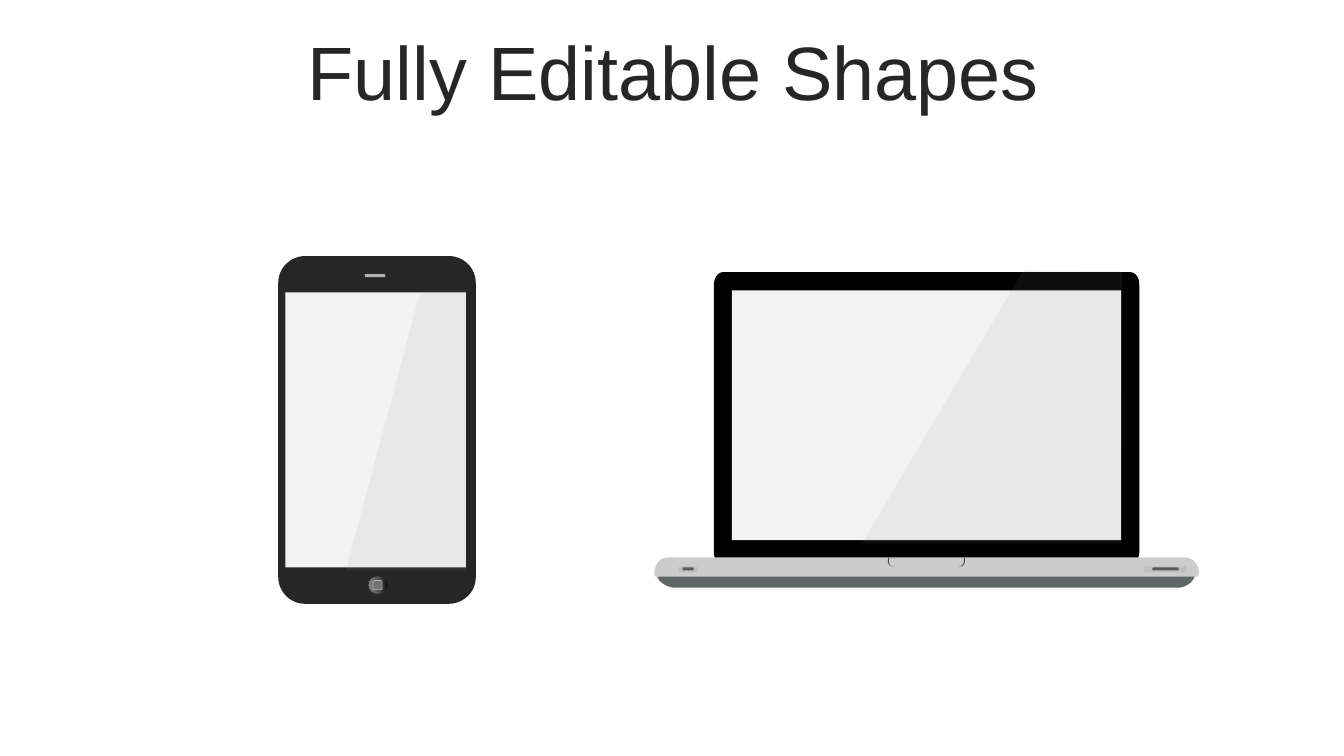
from lxml import etree
from pptx import Presentation
from pptx.dml.color import RGBColor
from pptx.enum.shapes import MSO_SHAPE as SHAPE
from pptx.enum.text import MSO_ANCHOR, PP_ALIGN
from pptx.oxml.ns import qn
from pptx.util import Inches, Pt

COLORS = {
    "title": "262626", "body": "262626", "lid": "000000", "screen": "F2F2F2",
    "glint": "999999", "base": "CCCCCC", "underside": "5F6767", "notch": "4D4D4D",
    "port": "BFBFBF", "slot": "595959", "speaker": "B0B0B0", "button_icon": "737373",
}
BUTTON_STOPS = [(0, "0F0F0F"), (56, "595959"), (91, "808080"), (100, "BFBFBF")]
CURVE_STEPS = 8


def add_preset(device, kind, box, color, adjust=None):
    shape = device.shapes.add_shape(kind, *map(Inches, box))
    shape.shadow.inherit = False
    shape.fill.solid()
    shape.fill.fore_color.rgb = RGBColor.from_string(COLORS[color])
    shape.line.fill.background()
    if adjust is not None:
        shape.adjustments[0] = adjust
    return shape


def add_outline(device, contours, color, alpha=None):
    """Draw closed contours; a pair is a corner, six numbers are a Bézier curve."""
    builder = None
    for start, *segments in contours:
        points = [start]
        for segment in segments:
            if len(segment) == 2:
                points.append(segment)
                continue
            (x0, y0), (x1, y1, x2, y2, x3, y3) = points[-1], segment
            for step in range(1, CURVE_STEPS + 1):
                t = step / CURVE_STEPS
                a, b, c, d = (1 - t) ** 3, 3 * t * (1 - t) ** 2, 3 * t * t * (1 - t), t ** 3
                points.append((a * x0 + b * x1 + c * x2 + d * x3,
                               a * y0 + b * y1 + c * y2 + d * y3))
        corners = [(Inches(x), Inches(y)) for x, y in points]
        if builder is None:
            builder = device.shapes.build_freeform(*corners[0])
        else:
            builder.move_to(*corners[0])
        builder.add_line_segments(corners[1:], close=True)
    shape = builder.convert_to_shape()
    shape.shadow.inherit = False
    shape.fill.solid()
    shape.fill.fore_color.rgb = RGBColor.from_string(COLORS[color])
    shape.line.fill.background()
    if alpha is not None:
        rgb = shape.fill._xPr.find(".//" + qn("a:srgbClr"))
        etree.SubElement(rgb, qn("a:alpha"), val=str(alpha * 1000))


prs = Presentation()
prs.slide_width, prs.slide_height = Inches(13.33), Inches(7.5)
slide = prs.slides.add_slide(prs.slide_layouts[6])

# Title
title = slide.shapes.add_textbox(Inches(0.35), Inches(0.36), Inches(12.66), Inches(0.79))
title.text_frame.word_wrap = True
title.text_frame.vertical_anchor = MSO_ANCHOR.MIDDLE
heading = title.text_frame.paragraphs[0]
heading.text = "Fully Editable Shapes"
heading.alignment = PP_ALIGN.CENTER
heading.line_spacing = 0.9
heading.font.name = "Arial"
heading.font.size = Pt(54)
heading.font.color.rgb = RGBColor.from_string(COLORS["title"])

# Laptop
laptop = slide.shapes.add_group_shape()
add_outline(laptop, [[
    (11.7, 5.83), (11.7, 5.83, 11.81, 5.82, 11.85, 5.72), (11.85, 5.69, 11.83, 5.67, 11.8, 5.67),
    (6.64, 5.69), (6.58, 5.69), (6.55, 5.69, 6.52, 5.71, 6.52, 5.73),
    (6.56, 5.8, 6.63, 5.82, 6.67, 5.83),
]], "underside")
add_outline(laptop, [[
    (11.3, 5.47), (11.3, 5.54, 11.26, 5.61, 11.21, 5.61), (7.17, 5.61),
    (7.12, 5.61, 7.08, 5.55, 7.08, 5.47), (7.08, 2.83), (7.08, 2.76, 7.12, 2.7, 7.17, 2.7),
    (11.21, 2.7), (11.26, 2.7, 11.3, 2.75, 11.3, 2.83),
]], "lid")
add_preset(laptop, SHAPE.RECTANGLE, (7.26, 2.88, 3.86, 2.48), "screen")
add_outline(laptop, [[
    (6.63, 5.53), (11.75, 5.53), (11.83, 5.53, 11.89, 5.6, 11.89, 5.68), (11.89, 5.7),
    (11.89, 5.7, 11.89, 5.73, 11.84, 5.72), (6.54, 5.72), (6.52, 5.73, 6.5, 5.73, 6.49, 5.7),
    (6.49, 5.67), (6.5, 5.59, 6.55, 5.53, 6.63, 5.53),
]], "base")
add_outline(laptop, [
    [(9.56, 5.53), (9.57, 5.53), (9.58, 5.61, 9.54, 5.62, 9.52, 5.62), (9.5, 5.62),
     (9.52, 5.62), (9.54, 5.61, 9.57, 5.6, 9.56, 5.53)],
    [(8.81, 5.53), (8.82, 5.53), (8.82, 5.53, 8.8, 5.6, 8.85, 5.62), (8.87, 5.62),
     (8.85, 5.62), (8.79, 5.61, 8.81, 5.53, 8.81, 5.53)],
], "notch")
for port_left, port_width, slot_left, slot_width in [(6.73, 0.19, 6.77, 0.11),
                                                     (11.35, 0.42, 11.43, 0.26)]:
    add_preset(laptop, SHAPE.ROUNDED_RECTANGLE, (port_left, 5.62, port_width, 0.06), "port", 0.28)
    add_preset(laptop, SHAPE.ROUNDED_RECTANGLE, (slot_left, 5.63, slot_width, 0.03), "slot", 0.28)
add_outline(laptop, [[(10.15, 2.68), (11.13, 2.69), (11.12, 5.39), (8.55, 5.39)]], "glint", 10)

# Phone
phone = slide.shapes.add_group_shape()
add_preset(phone, SHAPE.ROUNDED_RECTANGLE, (2.76, 2.54, 1.96, 3.45), "body", 0.136)
add_preset(phone, SHAPE.RECTANGLE, (3.62, 2.72, 0.2, 0.03), "speaker")

home_button = add_preset(phone, SHAPE.OVAL, (3.65, 5.71, 0.2, 0.19), "body")
home_button.line.color.rgb = RGBColor.from_string(COLORS["body"])
home_button.line.width = Pt(0)
home_button.fill.gradient()
home_button.fill.gradient_angle = 180
stop_list = home_button.fill._xPr.find(".//" + qn("a:gsLst"))
for stop in list(stop_list):
    stop_list.remove(stop)
for position, color in BUTTON_STOPS:
    stop = etree.SubElement(stop_list, qn("a:gs"), pos=str(position * 1000))
    etree.SubElement(stop, qn("a:srgbClr"), val=color)

button_icon = add_preset(phone, SHAPE.ROUNDED_RECTANGLE, (3.7, 5.76, 0.09, 0.09), "button_icon")
button_icon.line.color.rgb = RGBColor.from_string(COLORS["speaker"])
button_icon.line.width = Pt(0.5)

add_preset(phone, SHAPE.RECTANGLE, (2.83, 2.9, 1.79, 2.73), "screen")
add_outline(phone, [[(4.17, 2.89), (4.62, 2.89), (4.62, 5.66), (3.43, 5.66)]], "glint", 10)

prs.save("out.pptx")
